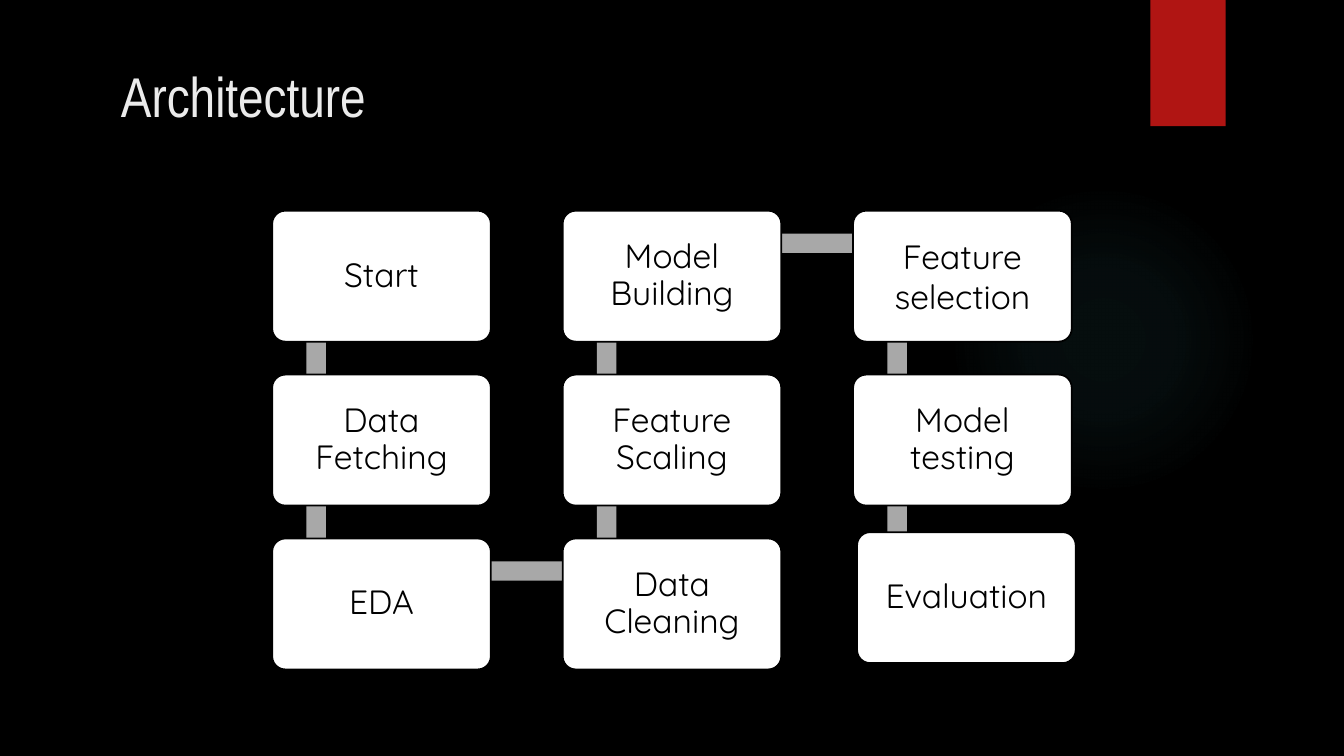
from lxml import etree
from pptx import Presentation
from pptx import util as u
from pptx.dml.color import RGBColor
from pptx.enum import shapes, text
from pptx.oxml.ns import qn

FLOW = [
    ["Start"], ["Data Fetching"], ["EDA"],
    ["Data Cleaning"], ["Feature", "Scaling"], ["Model", "Building"],
    ["Feature selection"], ["Model testing"], ["Evaluation"],
]
ROWS = 3
LEFT, TOP = 6.86, 5.31
PITCH_X, PITCH_Y = 7.32, 4.13
BOX_W, BOX_H = 5.51, 3.3
JOINT_X, JOINT_Y = 1.11, 0.82
PIPE = 0.49
EVALUATION_SHIFT = (0.1, -0.16)


def color(value):
    return RGBColor.from_string(value)


class Deck:
    title_font, step_font = "Arial Narrow", "Quicksand"
    black, white, title_ink = "000000", "FFFFFF", "EBEBEB"
    red, grey, teal = "B01513", "A8A8A8", "50B9C1"

    def __init__(self):
        self.prs = Presentation()
        self.prs.slide_width, self.prs.slide_height = u.Cm(33.87), u.Cm(19.05)
        self.slide = self.prs.slides.add_slide(self.prs.slide_layouts[6])
        background = self.slide.background.fill
        background.solid()
        background.fore_color.rgb = color(self.black)

    def shape(self, kind, x, y, w, h, fill):
        item = self.slide.shapes.add_shape(kind, u.Cm(x), u.Cm(y), u.Cm(w), u.Cm(h))
        item.shadow.inherit = False
        item.fill.solid()
        item.fill.fore_color.rgb = color(fill)
        item.line.fill.background()
        return item

    def rect(self, x, y, w, h, fill):
        return self.shape(shapes.MSO_SHAPE.RECTANGLE, x, y, w, h, fill)

    def glow(self, x, y, size, stops):
        halo = self.shape(shapes.MSO_SHAPE.OVAL, x, y, size, size, self.teal)
        solid = halo._element.spPr.find(qn("a:solidFill"))
        gradient = etree.Element(qn("a:gradFill"), rotWithShape="1")
        stop_list = etree.SubElement(gradient, qn("a:gsLst"))
        for position, opacity in stops:
            stop = etree.SubElement(stop_list, qn("a:gs"), pos=str(position * 1000))
            tint = etree.SubElement(stop, qn("a:srgbClr"), val=self.teal)
            etree.SubElement(tint, qn("a:alpha"), val=str(opacity * 1000))
        centre = etree.SubElement(gradient, qn("a:path"), path="circle")
        etree.SubElement(centre, qn("a:fillToRect"), l="50000", t="50000", r="50000", b="50000")
        solid.getparent().replace(solid, gradient)

    def put_text(self, frame, lines, font, size, ink, align, inset, spacing=1.0):
        frame.word_wrap = True
        frame.margin_left = frame.margin_right = u.Cm(inset)
        frame.margin_top = frame.margin_bottom = u.Cm(inset)
        for index, line in enumerate(lines):
            paragraph = frame.add_paragraph() if index else frame.paragraphs[0]
            paragraph.alignment, paragraph.line_spacing = align, spacing
            run = paragraph.add_run()
            run.text = line
            run.font.name, run.font.size = font, u.Pt(size)
            run.font.color.rgb = color(ink)

    def title(self, x, y, w, h, words):
        frame = self.slide.shapes.add_textbox(u.Cm(x), u.Cm(y), u.Cm(w), u.Cm(h)).text_frame
        self.put_text(frame, [words], self.title_font, 40, self.title_ink,
                      text.PP_ALIGN.LEFT, 0)

    def pipe(self, start, end):
        (x1, x2), (y1, y2) = (sorted(pair) for pair in zip(start, end))
        if x1 == x2:
            self.rect(x1 - PIPE / 2, y1, PIPE, y2 - y1, self.grey)
        else:
            self.rect(x1, y1 - PIPE / 2, x2 - x1, PIPE, self.grey)

    def step(self, x, y, lines, spacing):
        box = self.shape(shapes.MSO_SHAPE.ROUNDED_RECTANGLE, x, y, BOX_W, BOX_H, self.white)
        box.adjustments[0] = 0.1
        box.line.color.rgb = color(self.black)
        box.line.width = u.Pt(1.25)
        box.text_frame.vertical_anchor = text.MSO_ANCHOR.MIDDLE
        self.put_text(box.text_frame, lines, self.step_font, 24, self.black,
                      text.PP_ALIGN.CENTER, 0.3, spacing)


def place(index):
    column, row = divmod(index, ROWS)
    if column % 2:
        row = ROWS - 1 - row
    return LEFT + column * PITCH_X, TOP + row * PITCH_Y


def main():
    deck = Deck()
    deck.glow(23.9, 4.65, 7.82, [(0, 7), (36, 6), (69, 0)])
    deck.rect(28.99, 0, 1.9, 3.18, deck.red)
    deck.title(3.05, 1.55, 20, 2, "Architecture")

    corners = [place(index) for index in range(len(FLOW))]
    joints = [(x + JOINT_X, y + JOINT_Y) for x, y in corners]
    for start, end in zip(joints, joints[1:]):
        deck.pipe(start, end)

    for (x, y), lines in zip(corners, FLOW):
        if lines == ["Evaluation"]:
            x, y = x + EVALUATION_SHIFT[0], y + EVALUATION_SHIFT[1]
        deck.step(x, y, lines, 1.0 if lines == ["Feature selection"] else 0.9)
    deck.prs.save("out.pptx")


if __name__ == "__main__":
    main()
